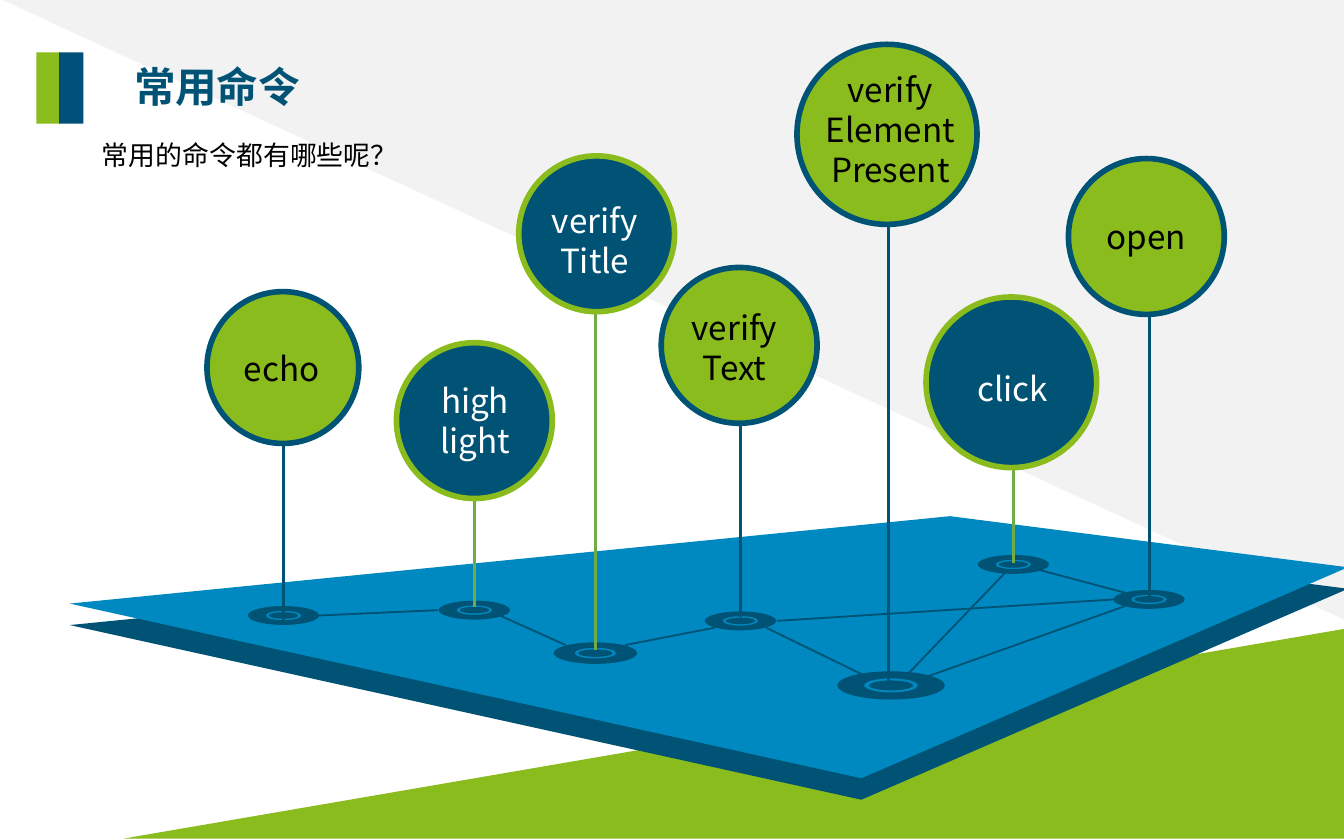
import math
from dataclasses import dataclass

import lxml.etree
import pptx
import pptx.dml.color
import pptx.enum.shapes
import pptx.enum.text
import pptx.oxml.ns
import pptx.util

PX = 9144  # EMU in one px, 100 px to the inch
KIND = pptx.enum.shapes.MSO_SHAPE
ALIGN = pptx.enum.text.PP_ALIGN
qn = pptx.oxml.ns.qn


@dataclass(frozen=True)
class Theme:
    navy: str = "005374"
    bar: str = "00517A"
    blue: str = "0089C0"
    lime: str = "8ABC1D"
    green: str = "70AD47"
    grey: str = "F2F2F2"
    black: str = "000000"
    white: str = "FFFFFF"
    head: float = 22.2
    body: float = 14.4
    label: float = 17.8
    hans: str = "Noto Sans CJK KR"
    latin: str = "Noto Sans CJK JP"


@dataclass(frozen=True)
class Node:
    x: int  # centre
    y: int
    w: int = 53
    h: int = 14


@dataclass(frozen=True)
class Pin:
    text: str
    x: int  # stem
    foot: int
    top: int
    ball: tuple[int, int, int]  # left, top, size
    box: tuple[int, int, int]  # left, top, width of the label
    dark: bool = False


T = Theme()

NODES = [
    Node(211, 458), Node(353, 454), Node(443, 486, 62, 16), Node(551, 462),
    Node(663, 510, 80, 21), Node(754, 420), Node(855, 446),
]

LINKS = [
    (237, 458, 326, 454), (372, 458, 421, 480), (465, 480, 532, 467),
    (570, 467, 648, 505), (691, 503, 837, 451), (837, 441, 773, 424),
    (578, 462, 829, 446), (676, 501, 748, 426),
]

PINS = [
    Pin("high\nlight", 353, 452, 307, (295, 255, 116), (315, 278, 77), True),
    Pin("echo", 211, 463, 319, (154, 217, 113), (170, 254, 79)),
    Pin("verify\nText", 551, 459, 245, (492, 199, 116), (501, 224, 91)),
    Pin("open", 855, 445, 214, (795, 118, 116), (812, 156, 82)),
    Pin("verify\nElement\nPresent", 661, 510, 156, (593, 33, 134), (601, 47, 123)),
    Pin("verify\nTitle", 443, 484, 134, (386, 116, 116), (397, 144, 91), True),
    Pin("click", 754, 419, 301, (689, 221, 127), (716, 269, 75), True),
]


def emu(px: float) -> int:
    return round(px * PX)


def rgb(code: str) -> pptx.dml.color.RGBColor:
    return pptx.dml.color.RGBColor.from_string(code)


def paint(shape, fill: str, edge: str = "") -> None:
    shape.shadow.inherit = False
    shape.fill.solid()
    shape.fill.fore_color.rgb = rgb(fill)
    if edge:
        shape.line.color.rgb = rgb(edge)
        shape.line.width = pptx.util.Pt(3)
    else:
        shape.line.fill.background()


def block(shapes, kind, area: tuple, fill: str, edge: str = ""):
    shape = shapes.add_shape(kind, *map(emu, area))
    paint(shape, fill, edge)
    return shape


def wedge(shapes, area: tuple, fill: str, *flips: str) -> None:
    shape = block(shapes, KIND.RIGHT_TRIANGLE, area, fill)
    for flip in flips:
        shape._element.spPr.xfrm.set(flip, "1")


def outline(shapes, loops: list, fill: str):
    loops = [[(emu(x), emu(y)) for x, y in loop] for loop in loops]
    form = shapes.build_freeform(*loops[0][0], scale=1.0)
    for i, loop in enumerate(loops):
        if i:
            form.move_to(*loop[0])
        form.add_line_segments(loop[1:], close=True)
    shape = form.convert_to_shape()
    paint(shape, fill)
    return shape


def slab(shapes, points: list, mid: tuple, angle: float, fill: str) -> None:
    # Turn the points back, so that the rotated shape lands on them
    cos, sin = math.cos(math.radians(angle)), math.sin(math.radians(angle))
    deltas = [(x - mid[0], y - mid[1]) for x, y in points]
    flat = [(mid[0] + x * cos + y * sin, mid[1] - x * sin + y * cos)
            for x, y in deltas]
    outline(shapes, [flat], fill).rotation = angle


def oval(node: Node, part: float, turn: int) -> list:
    # Start point, then two handles and an end point for each quarter
    k = 0.5523
    unit = [(-1, 0)]
    for _ in range(4):
        x, y = unit[-1]
        nx, ny = -y * turn, x * turn
        unit += [(x + k * nx, y + k * ny), (nx + k * x, ny + k * y), (nx, ny)]
    return [(node.x + part * node.w / 2 * x, node.y + part * node.h / 2 * y)
            for x, y in unit]


def curve(shape) -> None:
    lines = list(shape._element.iter(qn("a:lnTo")))
    for i in range(0, len(lines), 3):
        bend = lxml.etree.Element(qn("a:cubicBezTo"))
        lines[i].addprevious(bend)
        for step in lines[i:i + 3]:
            bend.append(step[0])
            step.getparent().remove(step)


def target(shapes, node: Node) -> None:
    curve(outline(shapes, [oval(node, 1, 1), oval(node, 0.5, -1)], T.navy))
    w, h = node.w * 0.41, node.h * 0.35
    block(shapes, KIND.OVAL, (node.x - w / 2, node.y - h / 2, w, h), T.navy)


def line(shapes, ends: tuple, color: str, width: float) -> None:
    link = shapes.add_connector(
        pptx.enum.shapes.MSO_CONNECTOR.STRAIGHT, *map(emu, ends))
    link.line.color.rgb = rgb(color)
    link.line.width = pptx.util.Pt(width)
    lxml.etree.SubElement(link._element.spPr, qn("a:effectLst"))


def write(shapes, text: str, area: tuple, size: float, color: str, face: str,
          align=ALIGN.LEFT, bold: bool = False, wrap: bool = True):
    box = shapes.add_textbox(*map(emu, area))
    frame = box.text_frame
    frame.word_wrap = wrap
    frame.text = text
    for para in frame.paragraphs:
        para.alignment = align
        para.line_spacing = pptx.util.Pt(size * 1.2)
        font = para.font
        font.size = pptx.util.Pt(size)
        font.bold = bold
        font.color.rgb = rgb(color)
        font.name = face
        lxml.etree.SubElement(font._element, qn("a:ea"), typeface=face)
    return box


def hang(shapes, pin: Pin) -> None:
    fill, edge, stem, ink = (
        (T.navy, T.lime, T.green, T.white) if pin.dark
        else (T.lime, T.navy, T.navy, T.black))
    line(shapes, (pin.x, pin.foot, pin.x, pin.top), stem, 1.5)
    left, top, size = pin.ball
    block(shapes, KIND.OVAL, (left, top, size, size), fill, edge)
    rows = pin.text.count("\n") + 1
    write(shapes, pin.text, (*pin.box, 10 + 30 * rows), T.label, ink,
          T.latin, ALIGN.CENTER, wrap=False)


def main() -> None:
    deck = pptx.Presentation()
    deck.slide_width, deck.slide_height = emu(1000), emu(625)
    shapes = deck.slides.add_slide(deck.slide_layouts[6]).shapes
    # Backdrop
    wedge(shapes, (2, 0, 998, 461), T.grey, "flipH", "flipV")
    wedge(shapes, (92, 468, 908, 156), T.lime, "flipH")
    # Board: lower plate, then upper
    plate = [(52, 449), (707, 384), (1003, 422), (641, 579)]
    for drop, fill in ((16, T.navy), (0, T.blue)):
        slab(shapes, [(x, y + drop) for x, y in plate], (528, 436 + drop),
             12.5, fill)
    # Network on the board
    for node in NODES:
        target(shapes, node)
    for ends in LINKS:
        line(shapes, ends, T.navy, 1)
    # Heading
    for left, fill in ((27, T.lime), (44, T.bar)):
        block(shapes, KIND.RECTANGLE, (left, 39, 18, 53), fill)
    title = write(shapes, "常用命令", (90, 41, 324, 47), T.head, T.navy,
                  T.hans, bold=True)
    title.rotation = 0.3
    write(shapes, "常用的命令都有哪些呢？", (66, 98, 312, 34), T.body, T.black, T.hans)
    # Pins
    for pin in PINS:
        hang(shapes, pin)
    deck.save("out.pptx")


if __name__ == "__main__":
    main()
